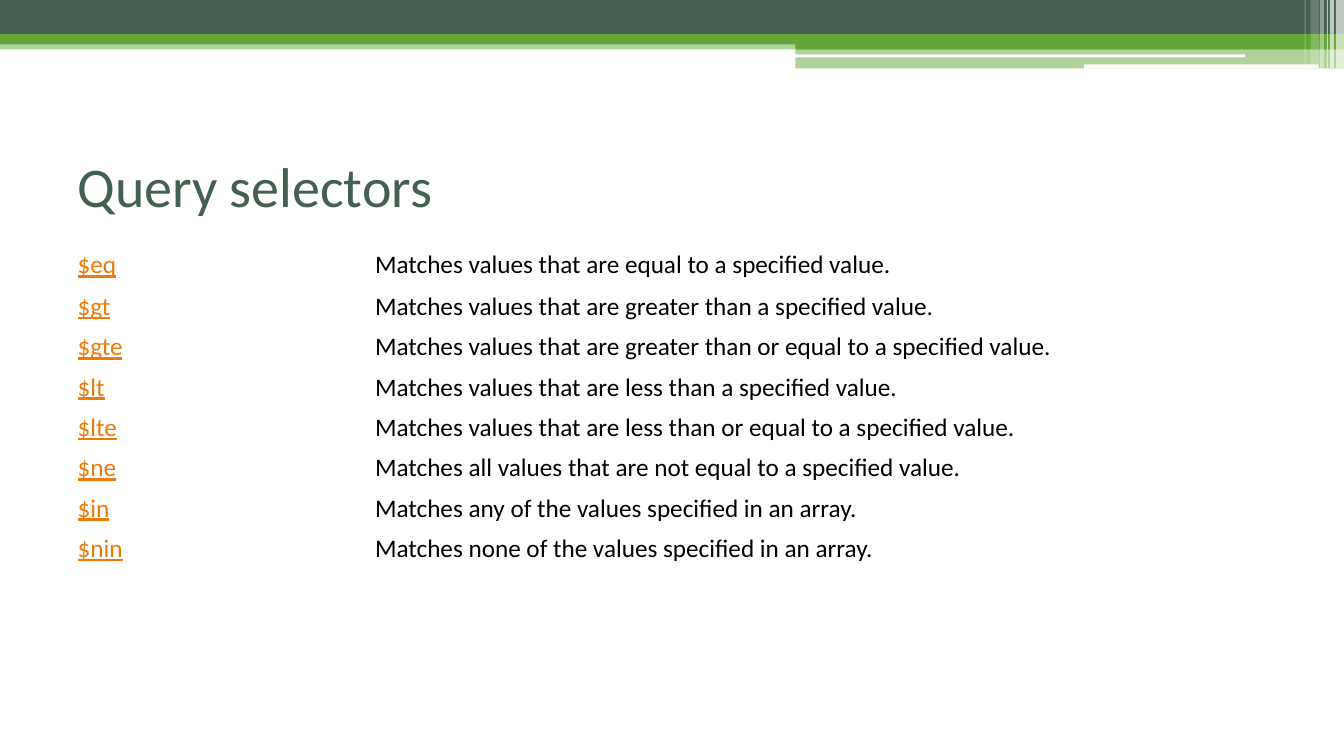
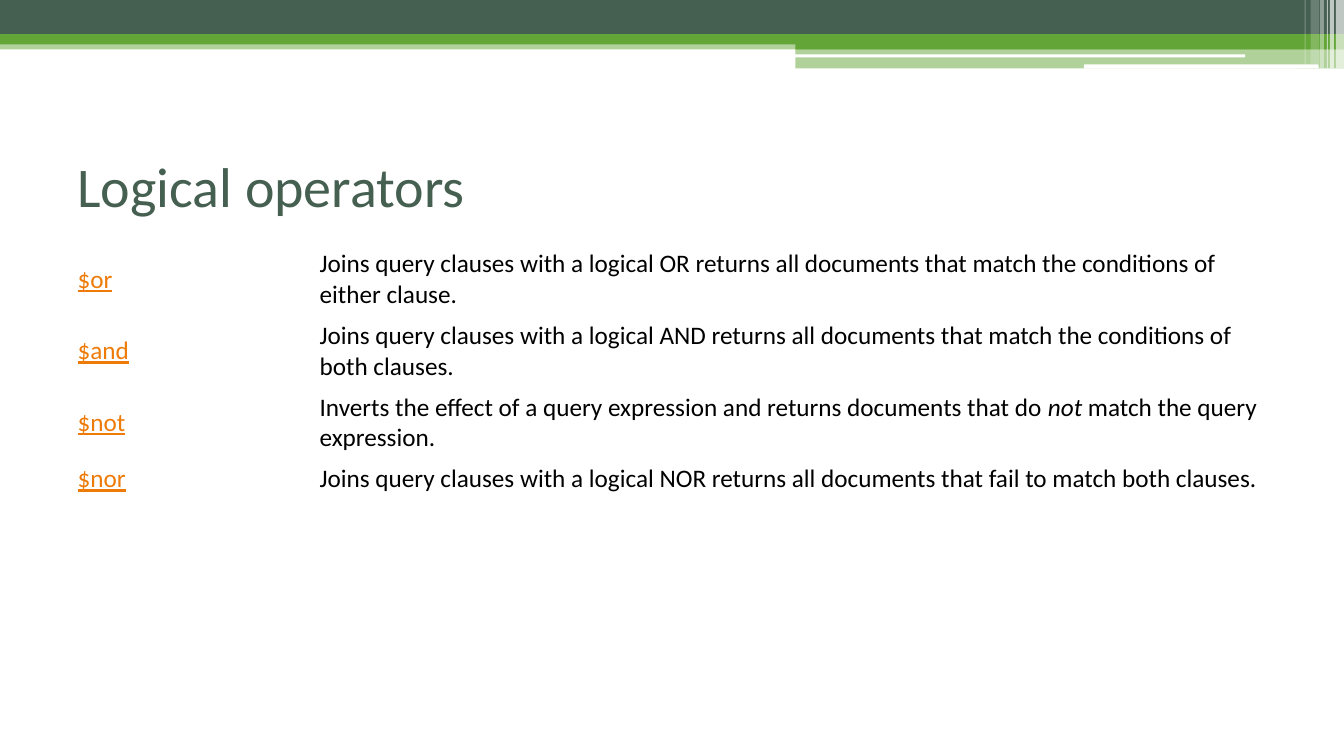
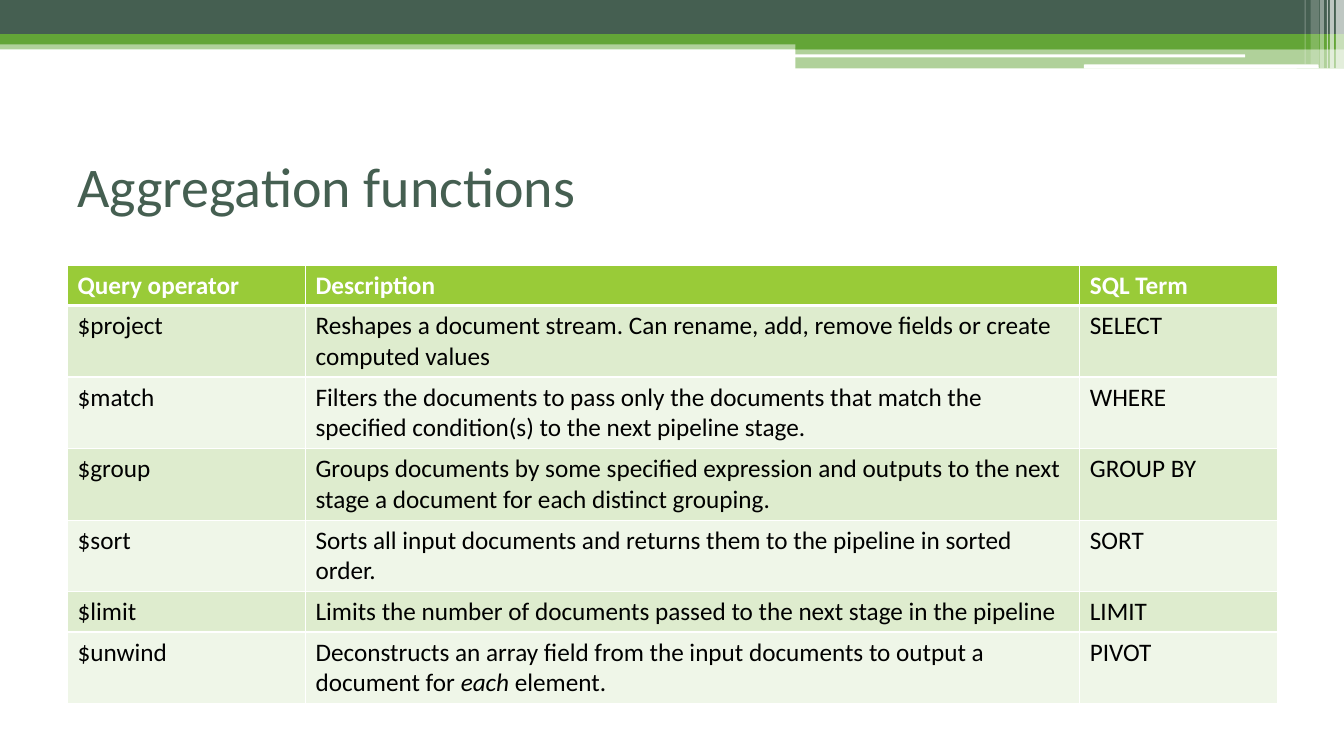
from lxml import etree
from pptx import Presentation
from pptx import util as u
from pptx.dml import color
from pptx.enum import shapes, text
from pptx.oxml import ns

Inches, Pt, RGB = u.Inches, u.Pt, color.RGBColor

# Shared look
DARK = RGB(0x45, 0x5F, 0x51)
GREEN = RGB(0x63, 0xA5, 0x37)
LIME = RGB(0x99, 0xCB, 0x38)
PALE = RGB(0xDE, 0xEC, 0xCE)
MIST = RGB(0xEF, 0xF6, 0xE8)
LINK = RGB(0xEE, 0x7B, 0x08)
WHITE = RGB(0xFF, 0xFF, 0xFF)
BLACK = RGB(0x00, 0x00, 0x00)
FONT = "Calibri"
WIDE, HIGH = 13.33, 7.5
LEFT, SPAN = 0.67, 12
ROW, TALL = 0.4, 0.71  # rows of one and of two lines

RECT = shapes.MSO_SHAPE.RECTANGLE
ROUND = shapes.MSO_SHAPE.ROUNDED_RECTANGLE

# Header bands: shape, left, top, width, height, colour, opacity in percent
BANDS = [
    (RECT, 0, 0.4, WIDE, 0.09, GREEN, 50),
    (RECT, 0, 0, WIDE, 0.34, DARK, 100),
    (RECT, 0, 0.34, WIDE, 0.1, GREEN, 100),
    (RECT, 7.89, 0.39, 5.44, 0.1, GREEN, 100),
    (RECT, 7.89, 0.48, 5.44, 0.2, GREEN, 50),
    (ROUND, 7.88, 0.54, 4.47, 0.03, WHITE, 100),
    (ROUND, 10.75, 0.64, 2.33, 0.04, WHITE, 100),
]
# Glints at the right end: left, width, height, opacity
GLINTS = [
    (13.25, 0.08, 0.68, 65),
    (13.19, 0.04, 0.68, 65),
    (13.16, 0.01, 0.68, 60),
    (13.09, 0.04, 0.68, 40),
    (13, 0.08, 0.64, 20),
    (12.94, 0.01, 0.64, 30),
]

# Text of the tables; *stars* mark italics
PICKS = [
    ("$eq", "Matches values that are equal to a specified value."),
    ("$gt", "Matches values that are greater than a specified value."),
    ("$gte", "Matches values that are greater than or equal to a specified value."),
    ("$lt", "Matches values that are less than a specified value."),
    ("$lte", "Matches values that are less than or equal to a specified value."),
    ("$ne", "Matches all values that are not equal to a specified value."),
    ("$in", "Matches any of the values specified in an array."),
    ("$nin", "Matches none of the values specified in an array."),
]
LOGIC = [
    ("$or", "Joins query clauses with a logical OR returns all documents "
            "that match the conditions of either clause."),
    ("$and", "Joins query clauses with a logical AND returns all documents "
             "that match the conditions of both clauses."),
    ("$not", "Inverts the effect of a query expression and returns documents "
             "that do *not* match the query expression."),
    ("$nor", "Joins query clauses with a logical NOR returns all documents "
             "that fail to match both clauses."),
]
STEPS = [
    ("Query operator", "Description", "SQL Term"),
    ("$project", "Reshapes a document stream. Can rename, add, remove fields "
                 "or create computed values", "SELECT"),
    ("$match", "Filters the documents to pass only the documents that match "
               "the specified condition(s) to the next pipeline stage.", "WHERE"),
    ("$group", "Groups documents by some specified expression and outputs to "
               "the next stage a document for each distinct grouping.", "GROUP BY"),
    ("$sort", "Sorts all input documents and returns them to the pipeline in "
              "sorted order.", "SORT"),
    ("$limit", "Limits the number of documents passed to the next stage in "
               "the pipeline", "LIMIT"),
    ("$unwind", "Deconstructs an array field from the input documents to "
                "output a document for *each* element.", "PIVOT"),
]


def write(frame, words, size, tint, bold=False, line=False):
    """Add the words run by run; parts between stars are italic."""
    para = frame.paragraphs[0]
    for n, part in enumerate(words.split("*")):
        run = para.add_run()
        run.text = part
        font = run.font
        font.name, font.size, font.bold = FONT, Pt(size), bold
        font.italic, font.underline = n % 2 == 1, line
        font.color.rgb = tint


def band(slide, kind, left, top, width, height, tint, alpha):
    shape = slide.shapes.add_shape(
        kind, Inches(left), Inches(top), Inches(width), Inches(height))
    shape.shadow.inherit = False
    shape.line.fill.background()
    shape.fill.solid()
    shape.fill.fore_color.rgb = tint
    if alpha < 100:
        clr = shape.element.spPr.find(".//" + ns.qn("a:srgbClr"))
        etree.SubElement(clr, ns.qn("a:alpha"), val=str(alpha * 1000))


def header(slide, left=0, top=0):
    for kind, x, y, width, height, tint, alpha in BANDS:
        band(slide, kind, left + x, top + y, width, height, tint, alpha)
    for x, width, height, alpha in GLINTS:
        band(slide, RECT, left + x, top, width, height, WHITE, alpha)


def title(slide, words, left=LEFT, top=1.25, width=SPAN, height=1.17):
    box = slide.shapes.add_textbox(
        Inches(left), Inches(top), Inches(width), Inches(height))
    frame = box.text_frame
    frame.word_wrap = True
    frame.vertical_anchor = text.MSO_ANCHOR.MIDDLE
    write(frame, words, 40, DARK)


def border(cell, low):
    """White cell borders; low is the width of the bottom one in points."""
    props = cell._tc.get_or_add_tcPr()
    for n, (side, width) in enumerate(
            [("lnL", 1), ("lnR", 1), ("lnT", 1), ("lnB", low)]):
        line = etree.Element(ns.qn("a:" + side), w=str(Pt(width)))
        fill = etree.SubElement(line, ns.qn("a:solidFill"))
        etree.SubElement(fill, ns.qn("a:srgbClr"), val=str(WHITE))
        props.insert(n, line)


def grid(slide, top, cols, rows, data):
    """Place a bare table and yield each cell with its row, column and words."""
    table = slide.shapes.add_table(
        len(rows), len(cols), Inches(LEFT), Inches(top),
        Inches(sum(cols)), Inches(sum(rows))).table
    table.first_row = table.horz_banding = False
    for col, width in zip(table.columns, cols):
        col.width = Inches(width)
    for row, height in zip(table.rows, rows):
        row.height = Inches(height)
    for r, line in enumerate(data):
        for c, words in enumerate(line):
            yield table.cell(r, c), r, c, words


def terms(slide, cols, rows, data, top=2.42):
    """Plain list of terms in link style with their meanings."""
    for cell, r, c, words in grid(slide, top, cols, rows, data):
        cell.fill.background()
        cell.vertical_anchor = text.MSO_ANCHOR.MIDDLE
        write(cell.text_frame, words, 18, BLACK if c else LINK, line=c == 0)


def banded(slide, cols, rows, data, top=2.63):
    """Table with a header row and rows in two shades."""
    for cell, r, c, words in grid(slide, top, cols, rows, data):
        head = r == 0
        cell.fill.solid()
        cell.fill.fore_color.rgb = LIME if head else (MIST, PALE)[r % 2]
        border(cell, 3 if head else 1)
        write(cell.text_frame, words, 18, WHITE if head else BLACK, bold=head)


def main():
    deck = Presentation()
    deck.slide_width, deck.slide_height = Inches(WIDE), Inches(HIGH)
    pages = [
        ("Query selectors", terms, (2.95, 9.05), [0.42] + [ROW] * 7, PICKS),
        ("Logical operators", terms, (2.4, 9.6), [TALL] * 3 + [ROW], LOGIC),
        ("Aggregation functions", banded, (2.36, 7.68, 1.96),
         [ROW] + [TALL] * 4 + [ROW, TALL], STEPS),
    ]
    for name, fill, cols, rows, data in pages:
        slide = deck.slides.add_slide(deck.slide_layouts[6])
        header(slide)
        title(slide, name)
        fill(slide, cols, rows, data)
    deck.save("out.pptx")


if __name__ == "__main__":
    main()
